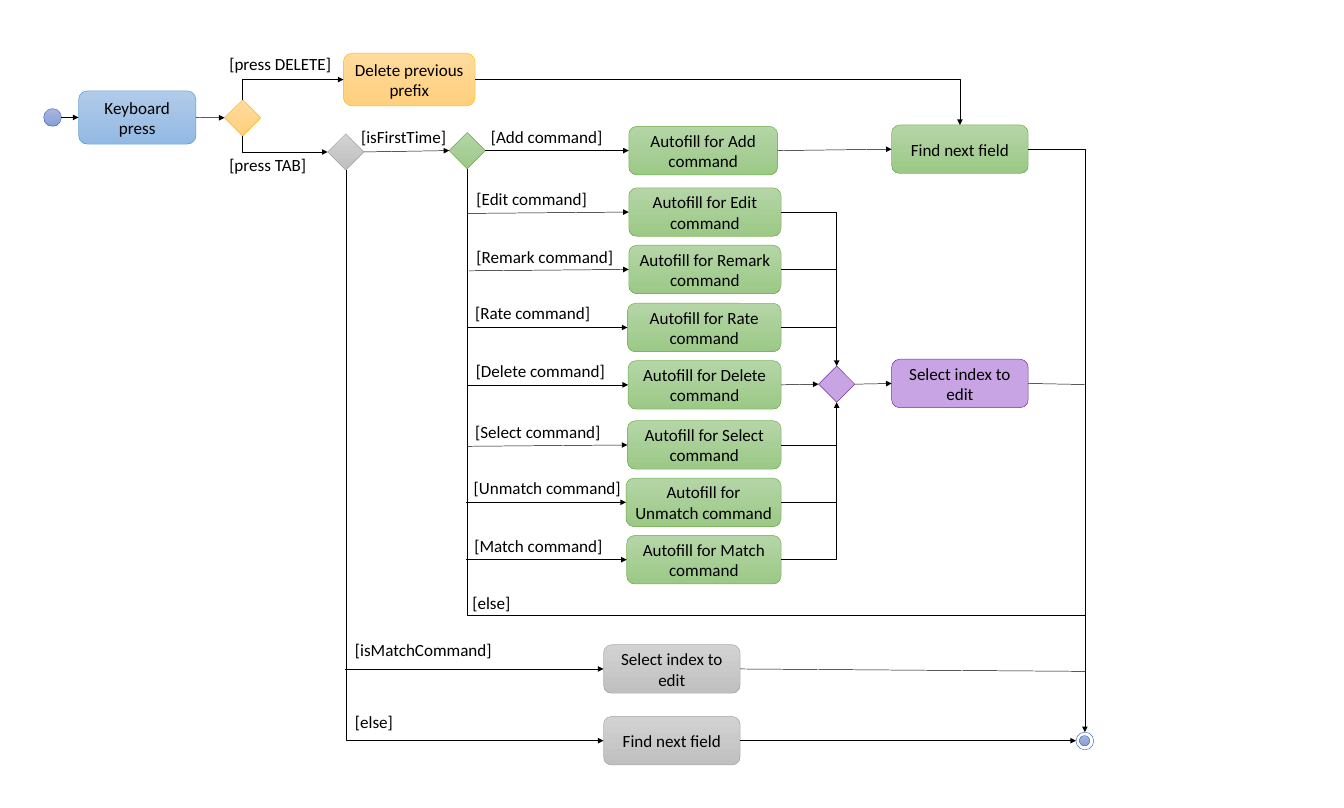
from dataclasses import dataclass
from typing import NamedTuple

from lxml.etree import SubElement
from pptx import Presentation
from pptx.dml.color import RGBColor
from pptx.enum.shapes import MSO_CONNECTOR as Line, MSO_SHAPE as Kind
from pptx.enum.text import MSO_ANCHOR, MSO_AUTO_SIZE, PP_ALIGN
from pptx.oxml.ns import qn
from pptx.shapes.autoshape import Shape
from pptx.shapes.connector import Connector
from pptx.text.text import TextFrame
from pptx.util import Cm, Inches, Pt

TOP, LEFT, BOTTOM, RIGHT = range(4)
BOX_HEIGHT = 0.71
DIAMOND_SIZE = 0.53
MERGE_X = 12.25
END_X = 15.89


class Palette(NamedTuple):
    top: str
    bottom: str
    line: str


class Point(NamedTuple):
    x: float
    y: float


@dataclass
class Joint:
    shape: Shape
    side: int

    @property
    def point(self) -> Point:
        x, y = self.shape.left.inches, self.shape.top.inches
        width, height = self.shape.width.inches, self.shape.height.inches
        return {
            TOP: Point(x + width / 2, y),
            LEFT: Point(x, y + height / 2),
            BOTTOM: Point(x + width / 2, y + height),
            RIGHT: Point(x + width, y + height / 2),
        }[self.side]


@dataclass
class Branch:
    command: str
    box_left: float
    box_top: float
    start_x: float
    start_drop: float = 0


BLUE = Palette("B1CBE9", "93B9E4", "5B9BD5")
INDIGO = Palette("A8B7DF", "889ED7", "4472C4")
WHITE = Palette("FFFFFF", "FFFFFF", "4472C4")
AMBER = Palette("FFDB9E", "FFD07C", "FFC000")
GREY = Palette("D2D2D2", "C0C0C0", "A5A5A5")
GREEN = Palette("B5D5A7", "9CC987", "70AD47")
PURPLE = Palette("C9A4E4", "C9A4E4", "7030A0")

BRANCHES = [
    Branch("Edit", 9.21, 2.75, 6.85, 0.02),
    Branch("Remark", 9.21, 3.59, 6.87, 0.02),
    Branch("Rate", 9.19, 4.44, 6.84),
    Branch("Delete", 9.2, 5.28, 6.85),
    Branch("Select", 9.19, 6.16, 6.85, 0.02),
    Branch("Unmatch", 9.17, 7, 6.82),
    Branch("Match", 9.18, 7.84, 6.83),
]

presentation = Presentation()
presentation.slide_width = Cm(50)
presentation.slide_height = Cm(30.05)
slide = presentation.slides.add_slide(presentation.slide_layouts[6])


def color(value: str) -> RGBColor:
    return RGBColor.from_string(value)


def write(frame: TextFrame, text: str, align: PP_ALIGN) -> None:
    frame.text = text
    frame.word_wrap = True
    paragraph = frame.paragraphs[0]
    paragraph.alignment = align
    font = paragraph.runs[0].font
    font.name, font.size = "Calibri", Pt(18)
    font.color.rgb = color("000000")


def add_node(kind: Kind, left: float, top: float, width: float, height: float,
             palette: Palette, shapes=slide.shapes) -> Shape:
    shape = shapes.add_shape(kind, Inches(left), Inches(top), Inches(width), Inches(height))
    shape.shadow.inherit = False
    if palette.top == palette.bottom:
        shape.fill.solid()
        shape.fill.fore_color.rgb = color(palette.top)
    else:
        shape.fill.gradient()
        shape.fill.gradient_angle = 270
        for stop, value in zip(shape.fill.gradient_stops, palette[:2]):
            stop.color.rgb = color(value)
    shape.line.color.rgb = color(palette.line)
    shape.line.width = Pt(0.5)
    return shape


def add_box(text: str, left: float, top: float, palette: Palette,
            width: float = 2, height: float = BOX_HEIGHT) -> Shape:
    shape = add_node(Kind.ROUNDED_RECTANGLE, left, top, width, height, palette)
    write(shape.text_frame, text, PP_ALIGN.CENTER)
    shape.text_frame.vertical_anchor = MSO_ANCHOR.MIDDLE
    return shape


def add_diamond(left: float, top: float, palette: Palette) -> Shape:
    return add_node(Kind.DIAMOND, left, top, DIAMOND_SIZE, DIAMOND_SIZE, palette)


def add_label(text: str, left: float, top: float, width: float = 2.39) -> None:
    box = slide.shapes.add_textbox(Inches(left), Inches(top), Inches(width), Inches(0.4))
    write(box.text_frame, f"[{text}]", PP_ALIGN.LEFT)
    box.text_frame.auto_size = MSO_AUTO_SIZE.SHAPE_TO_FIT_TEXT


def link(start: Joint | Point, end: Joint | Point, arrow: bool = True,
         kind: Line = Line.STRAIGHT) -> Connector:
    first, last = (e.point if isinstance(e, Joint) else e for e in (start, end))
    connector = slide.shapes.add_connector(kind, *map(Inches, (*first, *last)))
    if isinstance(start, Joint):
        connector.begin_connect(start.shape, start.side)
    if isinstance(end, Joint):
        connector.end_connect(end.shape, end.side)
    connector.line.color.rgb = color("000000")
    connector.line.width = Pt(0.5)
    properties = connector._element.spPr
    if arrow:
        SubElement(properties.find(qn("a:ln")), qn("a:tailEnd"), type="triangle")
    SubElement(properties, qn("a:effectLst"))
    return connector


def link_bent(start: Joint, end: Joint | Point, arrow: bool = True) -> None:
    connector = link(start, end, arrow, Line.ELBOW)
    first, last = start.point, end.point if isinstance(end, Joint) else end
    width, height = last.x - first.x, abs(last.y - first.y)
    middle = Point((first.x + last.x) / 2, (first.y + last.y) / 2)
    rising = last.y < first.y
    flips = {"flipV": "1"} if rising else {}
    if start.side != RIGHT:
        width, height = height, width
        flips |= {"flipH": "1", "rot": "5400000" if rising else "16200000"}
    connector.left, connector.top = Inches(middle.x - width / 2), Inches(middle.y - height / 2)
    connector.width, connector.height = Inches(width), Inches(height)
    properties = connector._element.spPr
    properties.find(qn("a:prstGeom")).set("prst", "bentConnector2")
    frame = properties.find(qn("a:xfrm"))
    frame.attrib.clear()
    frame.attrib.update(flips)


add_node(Kind.OVAL, 0.64, 1.59, 0.26, 0.26, INDIGO)
final_node = slide.shapes.add_group_shape()
add_node(Kind.OVAL, 15.76, 10.72, 0.26, 0.26, WHITE, final_node.shapes)
add_node(Kind.OVAL, 15.81, 10.77, 0.15, 0.15, INDIGO, final_node.shapes)

keyboard = add_box("Keyboard press", 1.15, 1.33, BLUE, 1.72, 0.78)
delete_prefix = add_box("Delete previous prefix", 5.03, 0.78, AMBER, 1.93, 0.77)
autofill_add = add_box("Autofill for Add command", 9.21, 1.85, GREEN, 2.18)
find_next = add_box("Find next field", 13.06, 1.83, GREEN)
select_index = add_box("Select index to edit", 13.06, 5.26, PURPLE)
match_index = add_box("Select index to edit", 8.84, 9.44, GREY)
else_next = add_box("Find next field", 8.84, 10.49, GREY)
key_choice = add_diamond(3.29, 1.46, AMBER)
time_choice = add_diamond(4.8, 1.96, GREY)
command_choice = add_diamond(6.58, 1.94, GREEN)
merge = add_diamond(11.99, 5.36, PURPLE)

add_label("press DELETE", 3.26, 0.74, 1.81)
add_label("press TAB", 3.26, 2.21, 1.47)
add_label("isFirstTime", 5.19, 1.8, 1.47)
add_label("Add command", 7.09, 1.8, 1.91)
add_label("else", 6.82, 8.63, 0.78)
add_label("isMatchCommand", 5.1, 9.32, 2.34)
add_label("else", 5.1, 10.37, 0.84)

link(Point(0.9, 1.72), Joint(keyboard, LEFT))
for source, target in [(keyboard, key_choice), (time_choice, command_choice),
                       (command_choice, autofill_add), (autofill_add, find_next),
                       (merge, select_index)]:
    link(Joint(source, RIGHT), Joint(target, LEFT))
link(Point(5.06, Joint(match_index, LEFT).point.y), Joint(match_index, LEFT))
link(Joint(else_next, RIGHT), Point(15.76, Joint(else_next, RIGHT).point.y))
link(Joint(select_index, RIGHT), Point(END_X, 5.63), arrow=False)
link(Joint(match_index, RIGHT), Point(END_X, 9.83), arrow=False)

link_bent(Joint(key_choice, TOP), Joint(delete_prefix, LEFT))
link_bent(Joint(key_choice, BOTTOM), Joint(time_choice, LEFT))
link_bent(Joint(delete_prefix, RIGHT), Joint(find_next, TOP))
link_bent(Joint(time_choice, BOTTOM), Joint(else_next, LEFT))
link_bent(Joint(command_choice, BOTTOM), Point(END_X, 9.01), arrow=False)
link_bent(Joint(find_next, RIGHT), Point(END_X, 10.72))

merge_sides = {"Edit": TOP, "Delete": LEFT, "Match": BOTTOM}
for branch in BRANCHES:
    box = add_box(f"Autofill for {branch.command} command", branch.box_left, branch.box_top,
                  GREEN, 11.44 - branch.box_left)
    entry, leave = Joint(box, LEFT), Joint(box, RIGHT)
    start = Point(branch.start_x, entry.point.y + branch.start_drop)
    add_label(f"{branch.command} command", branch.box_left - 2.33, start.y - 0.41)
    link(start, entry)
    side = merge_sides.get(branch.command)
    if side is None:
        link(leave, Point(MERGE_X, leave.point.y), arrow=False)
    elif side == LEFT:
        link(leave, Joint(merge, side))
    else:
        link_bent(leave, Joint(merge, side))

presentation.save("out.pptx")
